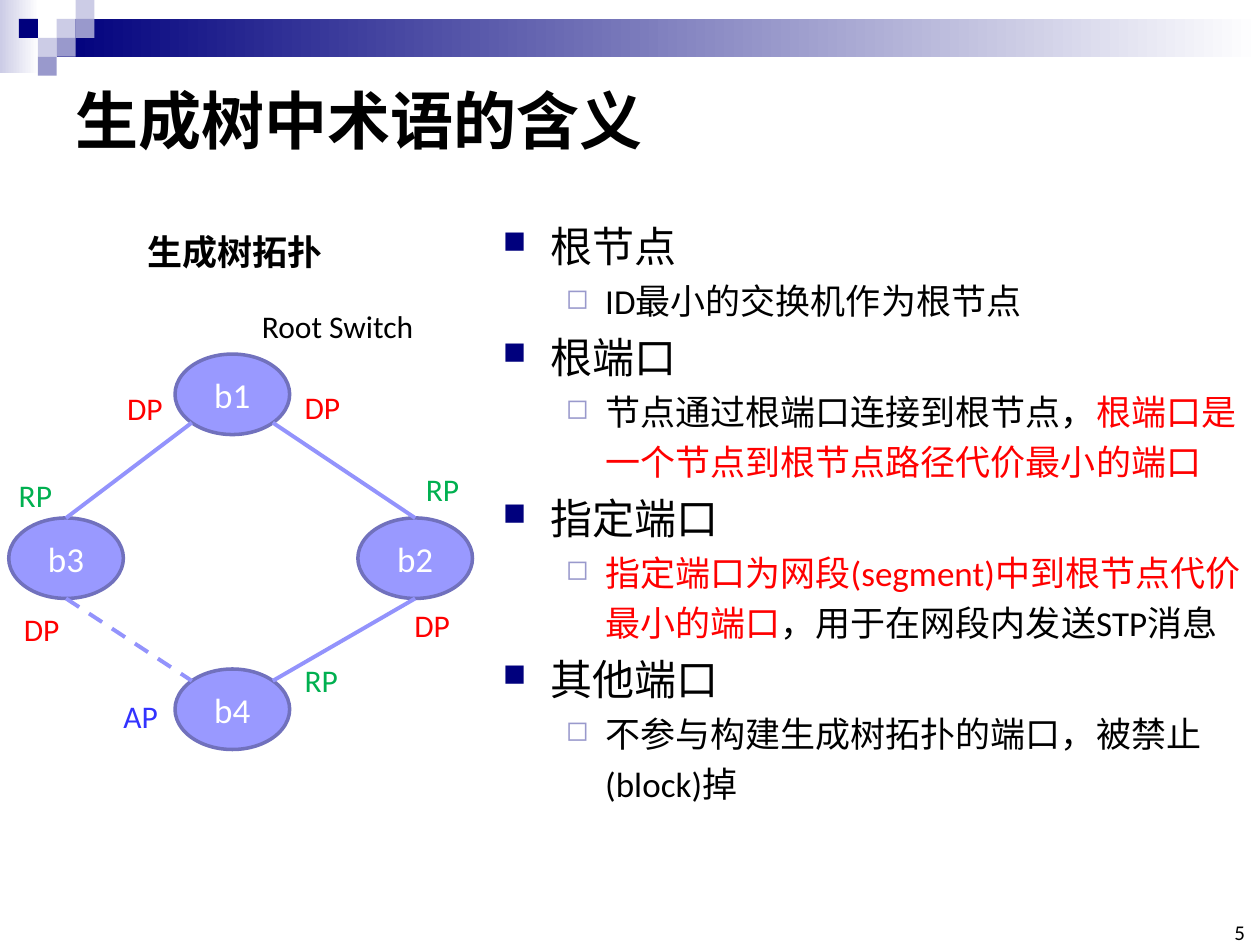
from lxml import etree
from pptx import Presentation
from pptx.dml.color import RGBColor
from pptx.enum.dml import MSO_LINE
from pptx.enum.shapes import MSO_CONNECTOR, MSO_SHAPE
from pptx.enum.text import MSO_ANCHOR, PP_ALIGN
from pptx.oxml.ns import qn
from pptx.util import Pt

RECTANGLE, ELLIPSE = MSO_SHAPE.RECTANGLE, MSO_SHAPE.OVAL
STRAIGHT, DASH = MSO_CONNECTOR.STRAIGHT, MSO_LINE.DASH
MIDDLE, BOTTOM = MSO_ANCHOR.MIDDLE, MSO_ANCHOR.BOTTOM
LEFT, CENTER, RIGHT = PP_ALIGN.LEFT, PP_ALIGN.CENTER, PP_ALIGN.RIGHT

FONT = "Calibri"
BLACK, WHITE, RED, GREEN, BLUE = "000000", "FFFFFF", "FF0000", "00B050", "3333FF"
NAVY, LILAC, PALE = "00007D", "9999CC", "CCCCE6"
TILE = 10.8
NODE_WIDTH, NODE_HEIGHT = 65.5, 46
PORT_WIDTH, PORT_HEIGHT = 37, 29
DIAGONAL = 0.5 ** 0.5

# bullet, its colour, its size in percent, left margin, indent, text size, line pitch
LEVELS = [
    ("■", NAVY, 75, 27, -27, 24, 34.5),
    ("◻", LILAC, 80, 58.5, -22.5, 20, 28.75),
]
TERMS = [
    (0, [("根节点", BLACK)]),
    (1, [("ID最小的交换机作为根节点", BLACK)]),
    (0, [("根端口", BLACK)]),
    (1, [("节点通过根端口连接到根节点，", BLACK),
         ("根端口是一个节点到根节点路径代价最小的端口", RED)]),
    (0, [("指定端口", BLACK)]),
    (1, [("指定端口为网段(segment)中到根节点代价最小的端口", RED),
         ("，用于在网段内发送STP消息", BLACK)]),
    (0, [("其他端口", BLACK)]),
    (1, [("不参与构建生成树拓扑的端口，被禁止(block)掉", BLACK)]),
]
NODES = {"b1": (100, 74.3), "b3": (5, 168), "b2": (204.5, 168), "b4": (100, 254.3)}
# node, side as (x, y) from its centre, other node, side, dash
LINKS = [
    ("b1", (-DIAGONAL, DIAGONAL), "b3", (0, -1), None),
    ("b1", (DIAGONAL, DIAGONAL), "b2", (0, -1), None),
    ("b3", (0, 1), "b4", (-DIAGONAL, -DIAGONAL), DASH),
    ("b2", (0, 1), "b4", (DIAGONAL, -DIAGONAL), None),
]
PORT_COLORS = {"RP": GREEN, "DP": RED, "AP": BLUE}
PORTS = [
    ("RP", 3.6, 140.6), ("RP", 236.2, 137), ("RP", 167, 246.4),
    ("DP", 65.5, 91), ("DP", 167, 90.2), ("DP", 6.5, 217), ("DP", 229.7, 214.7),
    ("AP", 63.4, 266.6),
]


def color(value):
    return RGBColor.from_string(value)


def format_font(font, size, fill, bold=False):
    font.name, font.size, font.bold = FONT, Pt(size), bold
    font.color.rgb = color(fill)


def add_shape(slide, kind, left, top, width, height, fill):
    """Add a flat shape without outline; two fill colours make a gradient."""
    shape = slide.shapes.add_shape(kind, Pt(left), Pt(top), Pt(width), Pt(height))
    shape.shadow.inherit = False
    shape.line.fill.background()
    if isinstance(fill, tuple):
        shape.fill.gradient()
        shape.fill.gradient_angle = 0
        for stop, value in zip(shape.fill.gradient_stops, fill):
            stop.color.rgb = color(value)
    else:
        shape.fill.solid()
        shape.fill.fore_color.rgb = color(fill)
    return shape


def add_label(slide, text, left, top, width, height, size, fill=BLACK, bold=False):
    box = slide.shapes.add_textbox(Pt(left), Pt(top), Pt(width), Pt(height))
    frame = box.text_frame
    frame.word_wrap = False
    frame.text = text
    format_font(frame.paragraphs[0].runs[0].font, size, fill, bold)
    return frame


def add_banner(slide, left, top, width):
    add_shape(slide, RECTANGLE, left, top, 22.3, 41.8, (PALE, WHITE))
    bar_left = 3 * TILE
    add_shape(slide, RECTANGLE, left + bar_left, top + TILE, width - bar_left, 2 * TILE, (NAVY, WHITE))
    tiles = [(3, 1, PALE), (4, 0, PALE), (4, 1, LILAC), (2, 2, PALE),
             (1, 1, NAVY), (3, 2, LILAC), (2, 3, LILAC)]
    for column, row, fill in tiles:
        add_shape(slide, RECTANGLE, left + column * TILE, top + row * TILE, TILE, TILE, fill)


def place_title(slide, text, left, top, width, height):
    title = slide.shapes.title
    title.left, title.top, title.width, title.height = Pt(left), Pt(top), Pt(width), Pt(height)
    frame = title.text_frame
    frame.text = text
    frame.vertical_anchor = MIDDLE
    paragraph = frame.paragraphs[0]
    paragraph.alignment = LEFT
    format_font(paragraph.runs[0].font, 36, BLACK, True)


def add_slide_number(slide, number, left, top, width, height):
    frame = add_label(slide, number, left, top, width, height, 12)
    frame.word_wrap = True
    frame.margin_left = frame.margin_top = frame.margin_right = frame.margin_bottom = 0
    frame.vertical_anchor = BOTTOM
    frame.paragraphs[0].alignment = RIGHT


def set_bullet(paragraph, character, fill, percent, margin, indent):
    properties = paragraph._p.get_or_add_pPr()
    properties.set("marL", str(Pt(margin)))
    properties.set("indent", str(Pt(indent)))
    bullet_color = etree.SubElement(properties, qn("a:buClr"))
    etree.SubElement(bullet_color, qn("a:srgbClr"), val=fill)
    etree.SubElement(properties, qn("a:buSzPct"), val=str(percent * 1000))
    etree.SubElement(properties, qn("a:buChar"), char=character)


def add_terms(slide, left, top, width, height):
    box = slide.shapes.add_textbox(Pt(left), Pt(top), Pt(width), Pt(height))
    frame = box.text_frame
    frame.word_wrap = True
    for index, (level, parts) in enumerate(TERMS):
        paragraph = frame.add_paragraph() if index else frame.paragraphs[0]
        *bullet, size, pitch = LEVELS[level]
        set_bullet(paragraph, *bullet)
        paragraph.level = level
        paragraph.line_spacing = Pt(pitch)
        for text, fill in parts:
            run = paragraph.add_run()
            run.text = text
            format_font(run.font, size, fill)


def add_node(slide, name, left, top):
    node = add_shape(slide, ELLIPSE, left, top, NODE_WIDTH, NODE_HEIGHT, "9999FF")
    node.line.color.rgb = color("7171BD")
    node.line.width = Pt(2)
    frame = node.text_frame
    frame.text = name
    frame.vertical_anchor = MIDDLE
    paragraph = frame.paragraphs[0]
    paragraph.alignment = CENTER
    format_font(paragraph.runs[0].font, 20, WHITE)


def add_topology(slide, left, top):
    def rim_point(name, side):
        x, y = NODES[name]
        return (Pt(left + x + NODE_WIDTH / 2 * (1 + side[0])),
                Pt(top + y + NODE_HEIGHT / 2 * (1 + side[1])))

    for name, (x, y) in NODES.items():
        add_node(slide, name, left + x, top + y)
    for start, start_side, end, end_side, dash in LINKS:
        link = slide.shapes.add_connector(
            STRAIGHT, *rim_point(start, start_side), *rim_point(end, end_side))
        link.line.color.rgb = color("9393FC")
        link.line.width = Pt(2.25)
        if dash:
            link.line.dash_style = dash
        etree.SubElement(link._element.spPr, qn("a:effectLst"))
    add_label(slide, "生成树拓扑", left + 77, top, 116, 31.5, 20, bold=True)
    add_label(slide, "Root Switch", left + 142.6, top + 44, 104, 29, 18)
    for port, x, y in PORTS:
        add_label(slide, port, left + x, top + y, PORT_WIDTH, PORT_HEIGHT, 18, PORT_COLORS[port])


def main():
    presentation = Presentation()
    presentation.slide_width, presentation.slide_height = Pt(720), Pt(540)
    slide = presentation.slides.add_slide(presentation.slide_layouts[5])
    add_banner(slide, 0, 0, 720)
    place_title(slide, "生成树中术语的含义", 36, 36, 648, 64)
    add_slide_number(slide, "5", 695, 528, 16.5, 12)
    add_terms(slide, 280.3, 117, 439.7, 396.7)
    add_topology(slide, 0, 128)
    presentation.save("out.pptx")


if __name__ == "__main__":
    main()
